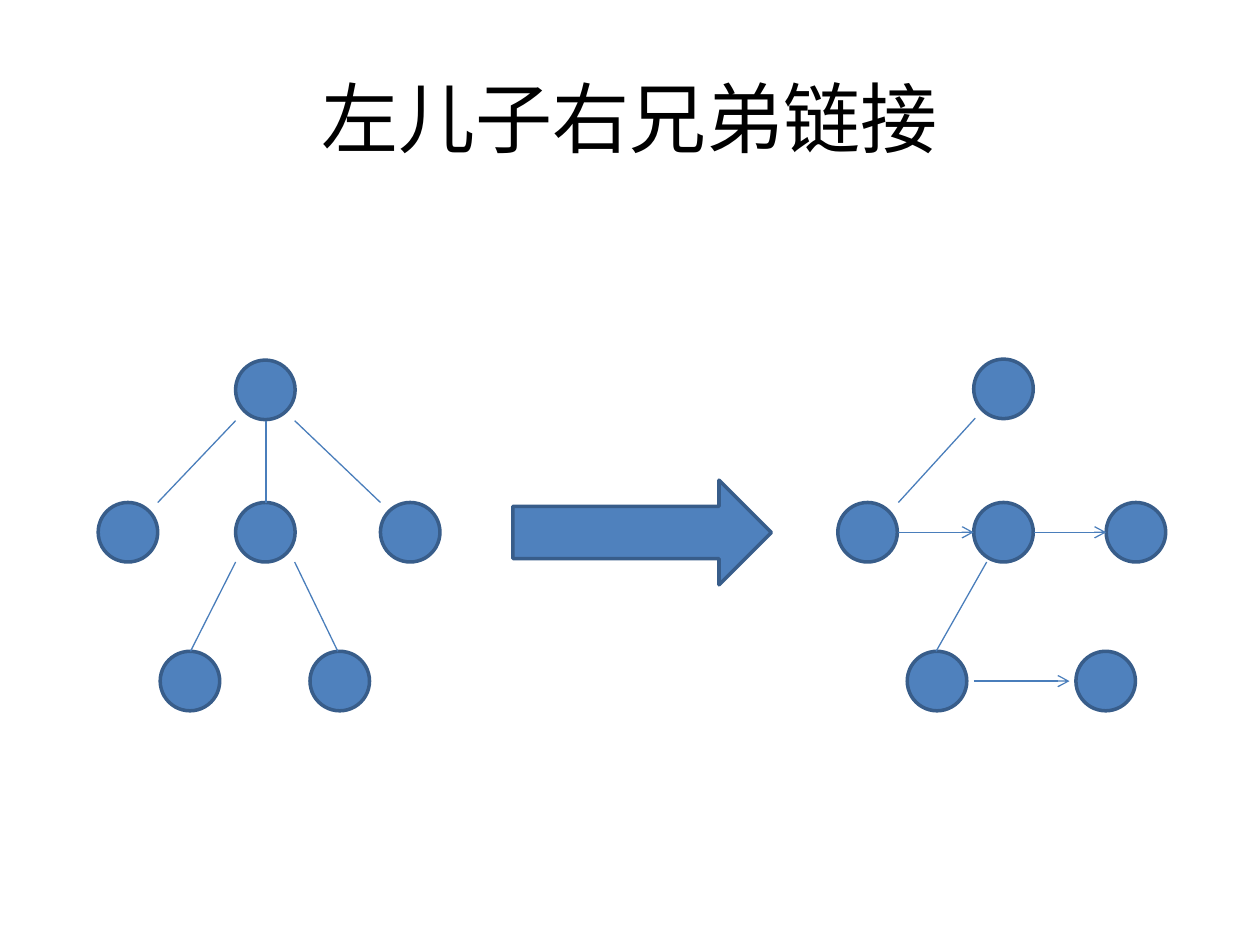
import pptx
import pptx.util
import pptx.dml.color
import pptx.enum.shapes
import pptx.enum.text
import pptx.oxml.ns
import lxml.etree

Cm, Pt = pptx.util.Cm, pptx.util.Pt
SHAPE = pptx.enum.shapes.MSO_SHAPE
BLUE = pptx.dml.color.RGBColor(0x4F, 0x81, 0xBD)
OUTLINE = pptx.dml.color.RGBColor(0x38, 0x5D, 0x8A)
LINK = pptx.dml.color.RGBColor(0x4A, 0x7E, 0xBB)
BLACK = pptx.dml.color.RGBColor(0, 0, 0)

deck = pptx.Presentation()
deck.slide_width, deck.slide_height = Cm(25.4), Cm(19.05)
page = deck.slides.add_slide(deck.slide_layouts[5])


def add_filled(kind, left, top, width, height):
    shape = page.shapes.add_shape(kind, Cm(left), Cm(top), Cm(width), Cm(height))
    shape.shadow.inherit = False
    shape.fill.solid()
    shape.fill.fore_color.rgb = BLUE
    shape.line.color.rgb = OUTLINE
    shape.line.width = Pt(2)
    return shape


def add_link(start, end, arrow=False):
    link = page.shapes.add_connector(
        pptx.enum.shapes.MSO_CONNECTOR.STRAIGHT, *map(Cm, start + end))
    link.line.color.rgb = LINK
    link.line.width = Pt(0.75)
    if arrow:
        line = link.line._get_or_add_ln()
        lxml.etree.SubElement(line, pptx.oxml.ns.qn("a:tailEnd"), type="arrow")
    lxml.etree.SubElement(link._element.spPr, pptx.oxml.ns.qn("a:effectLst"))


# Title
title = page.shapes.title
title.left, title.top, title.width, title.height = Cm(1.27), Cm(0.76), Cm(22.86), Cm(3.18)
title.text_frame.vertical_anchor = pptx.enum.text.MSO_ANCHOR.MIDDLE
para = title.text_frame.paragraphs[0]
para.alignment = pptx.enum.text.PP_ALIGN.CENTER
span = para.add_run()
span.text = "左儿子右兄弟链接"
span.font.size = Pt(44)
span.font.name = "Calibri"
span.font.color.rgb = BLACK

# Nodes of the general tree, then of the binary tree, level by level
NODE = 1.2
CHILDREN, GRANDCHILDREN = 10.13, 13.13
LEVELS = [
    (7.26, [4.75]),
    (CHILDREN, [1.98, 4.75, 7.67]),
    (GRANDCHILDREN, [3.23, 6.25]),
    (7.24, [19.63]),
    (CHILDREN, [16.89, 19.63, 22.3]),
    (GRANDCHILDREN, [18.29, 21.69]),
]
for top, lefts in LEVELS:
    for left in lefts:
        add_filled(SHAPE.FLOWCHART_CONNECTOR, left, top, NODE, NODE)

# Parent to child links
below_children = CHILDREN + NODE
for start, end in [
    ((4.75, 8.48), (3.18, CHILDREN)),
    ((5.36, 8.48), (5.36, CHILDREN)),
    ((5.94, 8.48), (7.67, CHILDREN)),
    ((4.75, below_children), (3.84, GRANDCHILDREN)),
    ((5.94, below_children), (6.81, GRANDCHILDREN)),
    ((19.66, 8.43), (18.11, CHILDREN)),
    ((19.89, below_children), (18.87, GRANDCHILDREN)),
]:
    add_link(start, end)

# Sibling links of the binary tree
for left, right, level in [
    (18.11, 19.63, CHILDREN),
    (20.85, 22.3, CHILDREN),
    (19.63, 21.56, GRANDCHILDREN),
]:
    middle = level + NODE / 2
    add_link((left, middle), (right, middle), arrow=True)

# Conversion arrow
conversion = add_filled(SHAPE.RIGHT_ARROW, 10.34, 9.68, 5.21, 2.11)
conversion.adjustments[0] = 0.5
conversion.adjustments[1] = 0.5

deck.save("out.pptx")
